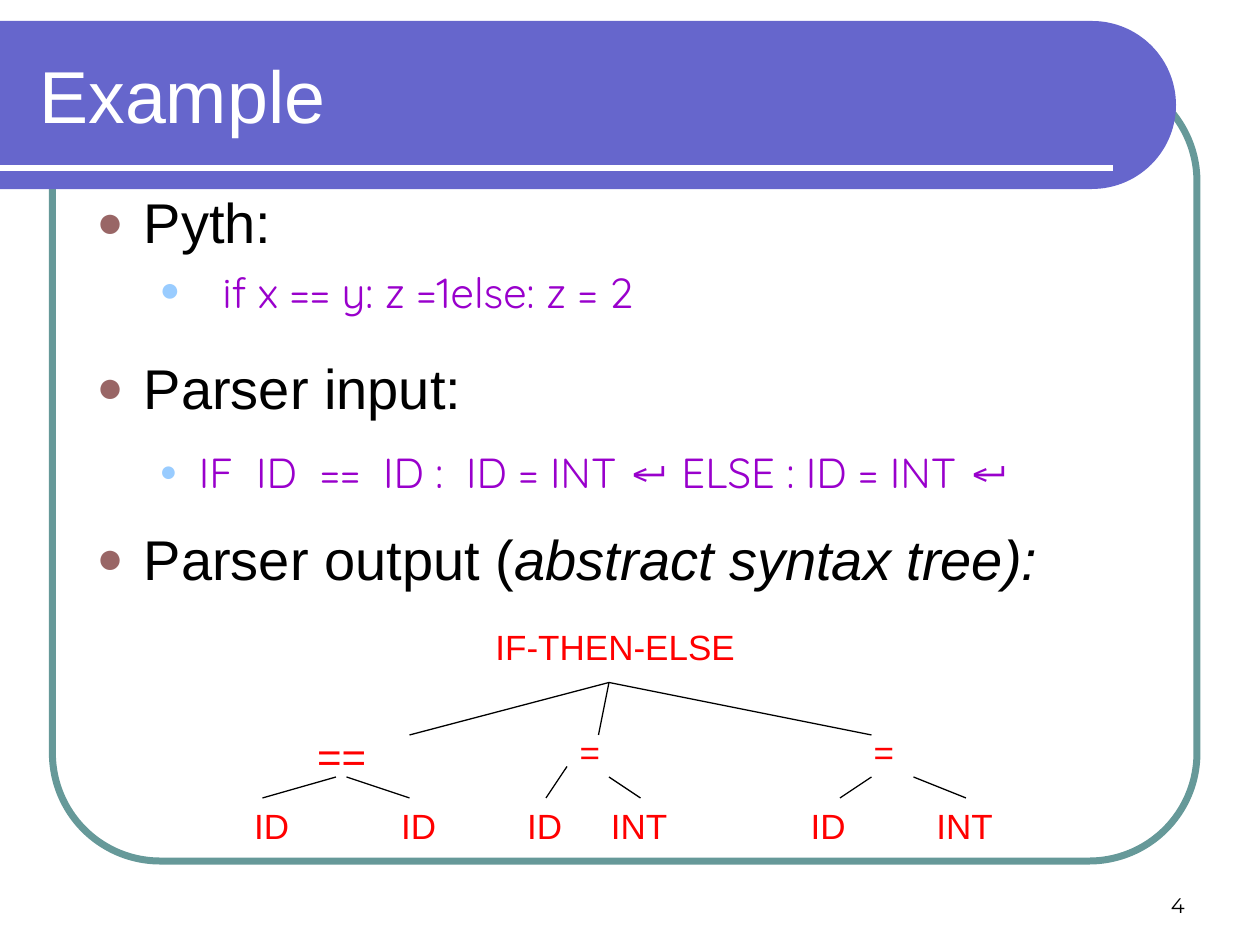
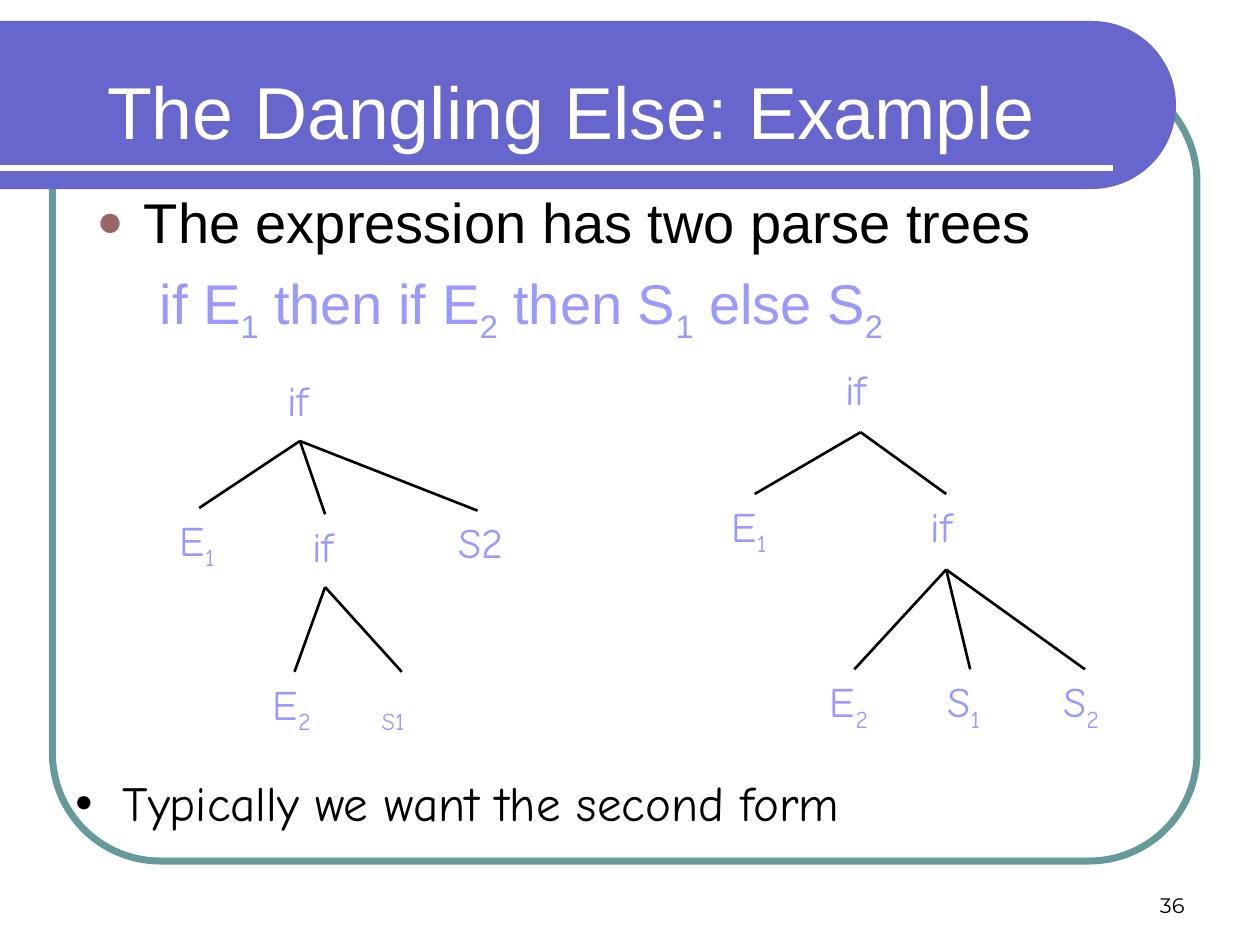
import math
from lxml import etree
from pptx import Presentation
from pptx.dml.color import RGBColor
from pptx.enum import shapes, text
from pptx.oxml import ns
from pptx.util import Pt

# Shared colours and fonts
BAND, FRAME, WHITE, BLACK = "6666CC", "669999", "FFFFFF", "000000"
BROWN, SKY = "996666", "99CCFF"
CODE, RED, LILAC = "9900CC", "FF0000", "9999FF"
SANS, ROUND, HAND, NUM = "Arial", "Quicksand", "Comic Neue", "Montserrat"

# Widths of the tree labels
WIDE = {"IF-THEN-ELSE": 151.5, "==": 42.6, "=": 26.2, "ID": 34.8, "INT": 58.4,
        "if": 26.8, "S2": 40.5, "E_1": 34.8, "E_2": 36, "S_1": 33.4,
        "S_2": 34.8, "_S_1": 27.6}


def rgb(code):
    return RGBColor.from_string(code)


def pts(*nums):
    return [Pt(n) for n in nums]


def sub(node, tag, **attrs):
    return etree.SubElement(node, ns.qn(tag), **attrs)


# Text
def add_run(par, words, size, font, color, ital=False, low=False):
    run = par.add_run()
    run.text = words
    run.font.size, run.font.name = Pt(size), font
    run.font.italic = ital
    run.font.color.rgb = rgb(color)
    if low:
        run.font._element.set("baseline", "-25000")


def add_terms(par, words, size, font, color):
    """Each underscore lowers the one character after it."""
    head, *rest = words.split("_")
    parts = [(head, False)]
    for part in rest:
        parts += [(part[0], True), (part[1:], False)]
    for part, low in parts:
        if part:
            add_run(par, part, size, font, color, low=low)


def set_item(par, left, hang, mark=None, color=BLACK, scale=100, tab=None):
    props = par._p.get_or_add_pPr()
    props.set("marL", str(Pt(left)))
    props.set("indent", str(-Pt(hang)))
    if mark:
        sub(sub(props, "a:buClr"), "a:srgbClr", val=color)
        sub(props, "a:buSzPct", val=str(scale * 1000))
        sub(props, "a:buFont", typeface=SANS)
        sub(props, "a:buChar", char=mark)
    else:
        sub(props, "a:buNone")
    if tab:
        sub(sub(props, "a:tabLst"), "a:tab", pos=str(Pt(tab)), algn="l")


def next_par(frame, gap, lead=1.0):
    if frame.paragraphs[0].runs:
        par = frame.add_paragraph()
        par.space_before = Pt(gap)
    else:
        par = frame.paragraphs[0]
        par.space_before = Pt(0)
    par.line_spacing = lead
    return par


def add_topic(frame, lead=1.0):
    par = next_par(frame, 8, lead)
    set_item(par, 27, 27, "●", BROWN, 80)
    return par


def add_detail(frame, gap, lead=1.0, mark="●", tab=None):
    par = next_par(frame, gap, lead)
    par.level = 1
    set_item(par, 58.5, 22.5, mark, SKY, 70, tab)
    return par


def add_box(slide, left, top, wide, high, wrap=True):
    box = slide.shapes.add_textbox(*pts(left, top, wide, high))
    box.text_frame.word_wrap = wrap
    return box.text_frame


def place(holder, left, top, wide, high):
    holder.left, holder.top, holder.width, holder.height = pts(
        left, top, wide, high)
    frame = holder.text_frame
    frame.auto_size = text.MSO_AUTO_SIZE.NONE
    return frame


# Lines and trees
def add_line(slide, start, end, color, width):
    line = slide.shapes.add_connector(
        shapes.MSO_CONNECTOR.STRAIGHT, *pts(*start, *end))
    line.line.color.rgb = rgb(color)
    line.line.width = Pt(width)
    sub(line._element.spPr, "a:effectLst")
    return line


def add_fork(slide, start, ends, width):
    for end in ends:
        add_line(slide, start, end, BLACK, width)


def add_label(slide, words, left, top, size, font, color):
    high = size * 1.2 + (12 if "_" in words else 7.5)
    frame = add_box(slide, left, top, WIDE[words], high, False)
    frame.auto_size = text.MSO_AUTO_SIZE.SHAPE_TO_FIT_TEXT
    add_terms(frame.paragraphs[0], words, size, font, color)


# Shared look
def add_frame(slide):
    box = slide.shapes.add_shape(
        shapes.MSO_SHAPE.ROUNDED_RECTANGLE, *pts(30, 42, 654, 450))
    box.adjustments[0] = 0.137
    box.fill.background()
    box.line.color.rgb = rgb(FRAME)
    box.line.width = Pt(4)
    return box


def add_band(slide):
    mid_x, mid_y, rad, steps = 624, 60, 48, 60
    turns = [math.pi * (n / steps - 0.5) for n in range(steps + 1)]
    arc = [pts(mid_x + rad * math.cos(t), mid_y + rad * math.sin(t))
           for t in turns]
    pen = slide.shapes.build_freeform(0, Pt(mid_y - rad))
    pen.add_line_segments(arc + [pts(0, mid_y + rad)], close=True)
    band = pen.convert_to_shape()
    band.fill.solid()
    band.fill.fore_color.rgb = rgb(BAND)
    band.line.fill.background()
    return band


def set_layout(layout, slide):
    """Move the frame, band and rule onto the layout that all slides use."""
    for holder in list(layout.placeholders):
        if holder.placeholder_format.idx >= 10:
            holder.element.getparent().remove(holder.element)
    frame, band = add_frame(slide), add_band(slide)
    rule = add_line(slide, (0, 96), (636, 96), WHITE, 3)
    for part in (frame, band):
        part.shadow.inherit = False
    for part in (frame, band, rule):
        layout.shapes.element.append(part._element)


def set_title(slide, words, *area):
    frame = place(slide.shapes.title, *area)
    frame.vertical_anchor = text.MSO_ANCHOR.MIDDLE
    par = frame.paragraphs[0]
    par.alignment = text.PP_ALIGN.LEFT
    add_run(par, words, 42, SANS, WHITE)


def add_number(slide, num):
    frame = add_box(slide, 516, 492, 168, 36)
    frame.vertical_anchor = text.MSO_ANCHOR.BOTTOM
    par = frame.paragraphs[0]
    par.alignment = text.PP_ALIGN.RIGHT
    add_run(par, num, 12, NUM, BLACK)


# Slides
def fill_parser(slide):
    set_title(slide, "Example", 15.3, 18, 631.5, 72)
    body = place(slide.placeholders[1], 48, 108, 624, 240)
    add_run(add_topic(body, 0.9), "Pyth:", 32, SANS, BLACK)
    par = add_detail(body, 6, 0.9, tab=72)
    add_run(par, "\t", 28, SANS, CODE)
    add_run(par, "if x == y: z =1else: z = 2", 24, ROUND, CODE)
    add_run(add_topic(body, 1.3), "Parser input:", 32, SANS, BLACK)
    par = add_detail(body, 6, 1.3)
    for words in ("IF  ID  ==  ID :  ID = INT ", " ELSE : ID = INT "):
        add_run(par, words, 24, ROUND, CODE)
        add_run(par, "↵", 24, SANS, CODE)
    par = add_topic(body, 1.2)
    add_run(par, "Parser output (", 32, SANS, BLACK)
    add_run(par, "abstract syntax tree):", 32, SANS, BLACK, ital=True)

    # Abstract syntax tree
    add_label(slide, "IF-THEN-ELSE", 276, 354, 20, SANS, RED)
    add_label(slide, "==", 174.2, 414, 24, SANS, RED)
    for left in (324.2, 492.2):
        add_label(slide, "=", left, 414, 20, SANS, RED)
    for words, left in (("ID", 138.2), ("ID", 222.2), ("ID", 294.2),
                        ("INT", 342), ("ID", 456.2), ("INT", 528)):
        add_label(slide, words, left, 456, 20, SANS, RED)
    add_fork(slide, (348, 390), [(x, 420) for x in (234, 342, 498)], 0.75)
    for start, x in (((192, 444), 150), ((198, 444), 234),
                     ((324, 438), 312), ((348, 444), 366),
                     ((498, 444), 480), ((522, 444), 552)):
        add_fork(slide, start, [(x, 456)], 0.75)


def fill_else(slide):
    set_title(slide, "The Dangling Else: Example", 54, 18, 612, 90)
    body = place(slide.placeholders[1], 48, 103.6, 612, 106.5)
    add_run(add_topic(body), "The expression has two parse trees",
            32, SANS, BLACK)
    add_terms(add_detail(body, 8, mark=None),
              "if E_1 then if E_2 then S_1 else S_2", 32, SANS, LILAC)

    # Both parse trees
    for words, left, top in (
            ("if", 157, 210.2), ("E_1", 95.7, 290.3), ("if", 171.3, 293.9),
            ("S2", 254.8, 291.8), ("E_2", 148.8, 383.9), ("_S_1", 211, 383.9),
            ("if", 476, 204), ("E_1", 411, 282.3), ("if", 524.8, 282.3),
            ("E_2", 467.2, 382.5), ("S_1", 534.3, 382.5),
            ("S_2", 600.5, 382.5)):
        add_label(slide, words, left, top, 24, HAND, LILAC)
    for start, ends in (
            ((171.4, 252), [(113.8, 290.3), (185.8, 293.9), (272.9, 291.8)]),
            ((185.8, 335.5), [(168.3, 383.9), (229.6, 383.9)]),
            ((491.8, 247), [(431.3, 282.3), (540.7, 282.3)]),
            ((540.7, 325.5), [(x, 382.5) for x in (488.2, 554.4, 620)])):
        add_fork(slide, start, ends, 1.5)

    # Closing remark
    par = add_box(slide, 36, 438, 654, 36).paragraphs[0]
    set_item(par, 27, 27, "•")
    add_run(par, "Typically we want the second form", 28, HAND, BLACK)


def main():
    deck = Presentation()
    deck.slide_width, deck.slide_height = pts(720, 540)
    layout = deck.slide_layouts[1]
    for num, fill in (("4", fill_parser), ("36", fill_else)):
        slide = deck.slides.add_slide(layout)
        if len(deck.slides) == 1:
            set_layout(layout, slide)
        add_number(slide, num)
        fill(slide)
    deck.save("out.pptx")


if __name__ == "__main__":
    main()
